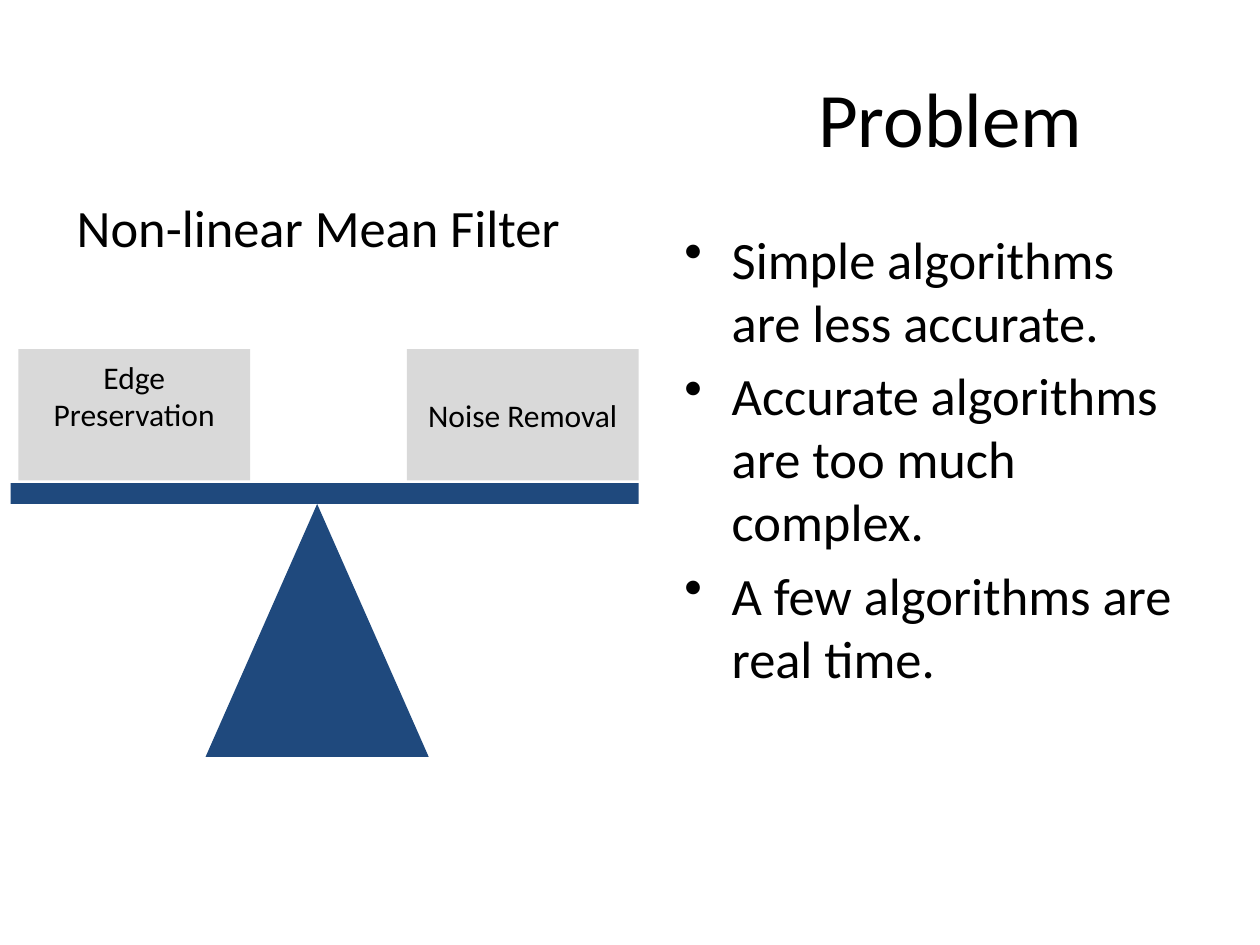
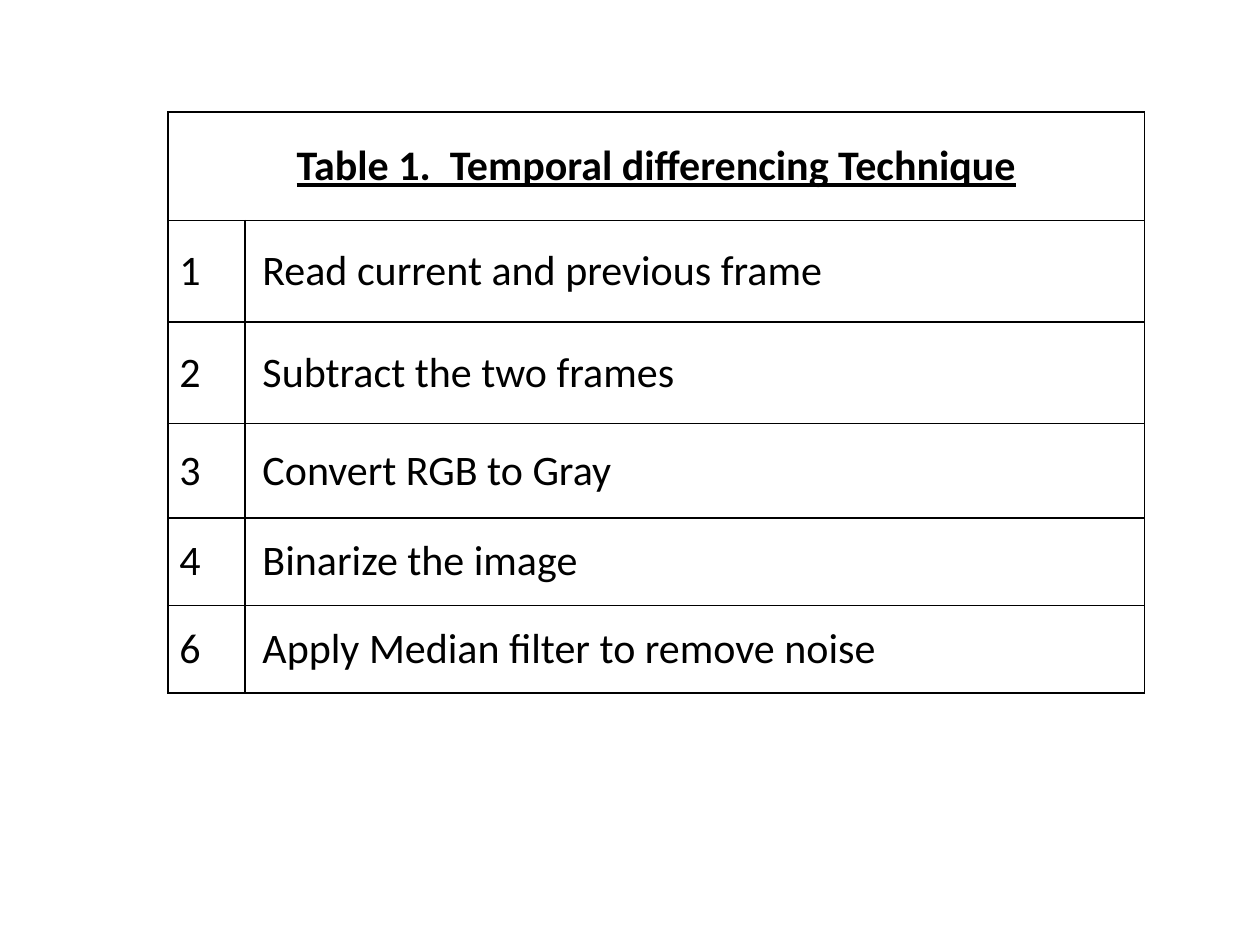
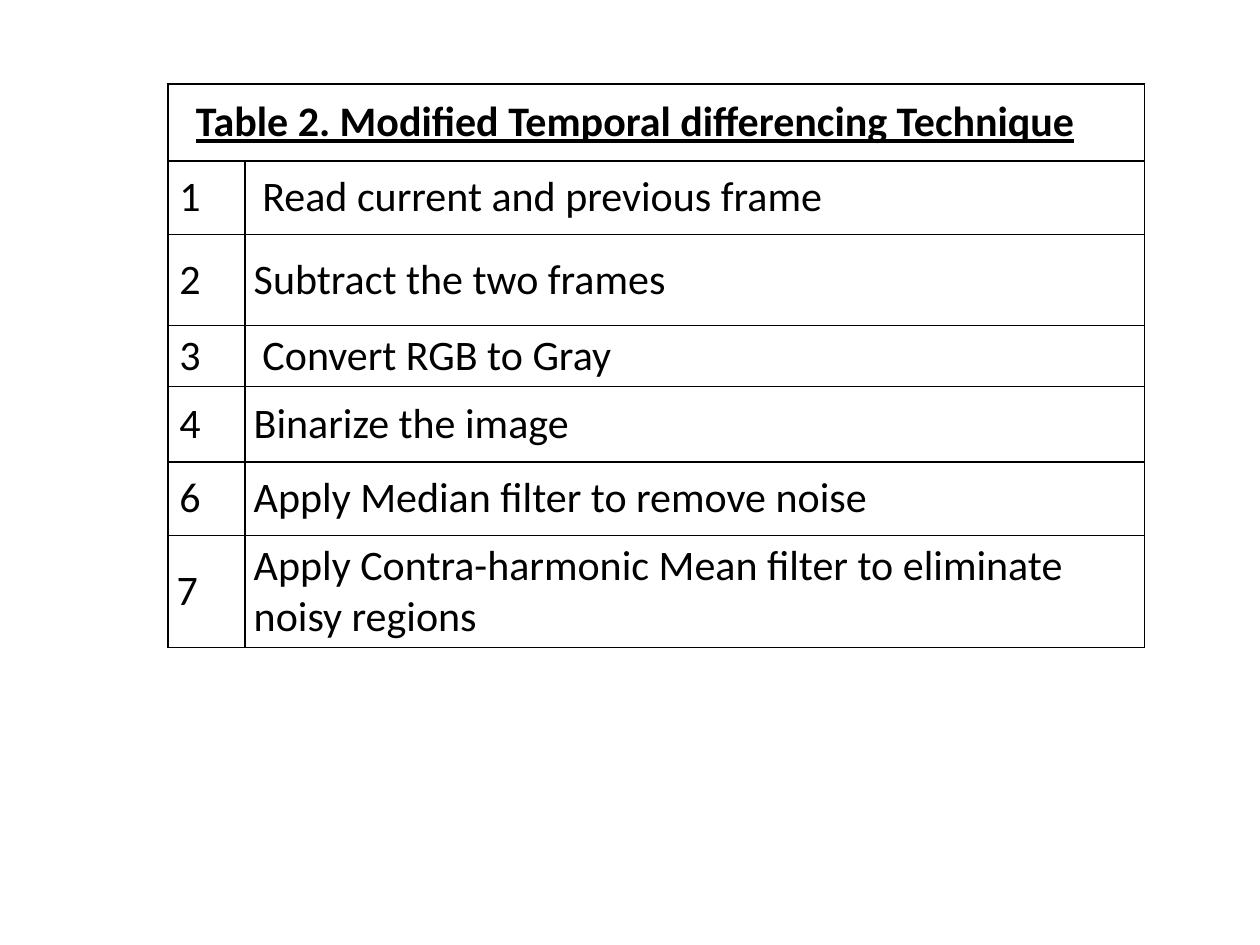
from dataclasses import dataclass

import pptx
import pptx.dml.color
import pptx.enum.shapes
import pptx.enum.text
import pptx.oxml
import pptx.oxml.ns
import pptx.util

Pt = pptx.util.Pt
RGBColor = pptx.dml.color.RGBColor
Align = pptx.enum.text.PP_ALIGN
Anchor = pptx.enum.text.MSO_ANCHOR
Preset = pptx.enum.shapes.MSO_SHAPE

BLACK = RGBColor(0x00, 0x00, 0x00)
NAVY = RGBColor(0x1F, 0x49, 0x7D)
LIGHT_GREY = RGBColor(0xD9, 0xD9, 0xD9)

FONT = "Calibri"
TITLE_SIZE, BODY_SIZE, TABLE_SIZE, LABEL_SIZE = 44, 30, 24, 18
BULLET_INDENT = 27

TABLE_LEFT = 96
COLUMN_WIDTHS = (44, 514)
CELL_MARGIN_X, CELL_MARGIN_Y = 5, 3
NUMBER_MARGIN_RIGHT = 24
STEP_INDENT = 5
THIN, THICK = 0.75, 1
THIN_LINE_COUNT = 4


@dataclass(frozen=True)
class Area:
    left: float
    top: float
    width: float
    height: float

    def lengths(self) -> tuple:
        return Pt(self.left), Pt(self.top), Pt(self.width), Pt(self.height)


@dataclass(frozen=True)
class Step:
    number: str
    text: str
    height: float
    indent: float = 0
    number_align: Align = Align.CENTER


@dataclass(frozen=True)
class StepTable:
    title: str
    top: float
    title_height: float
    steps: tuple[Step, ...]
    title_align: Align = Align.CENTER
    title_indent: float = 0


TEMPORAL = StepTable(
    "Table 1.  Temporal differencing Technique", 64, 62,
    (
        Step("1", "Read current and previous frame", 58, STEP_INDENT),
        Step("2", "Subtract the two frames", 58, STEP_INDENT),
        Step("3", "Convert RGB to Gray", 54, STEP_INDENT),
        Step("4", "Binarize the image", 50, STEP_INDENT),
        Step("6", "Apply Median filter to remove noise", 50, STEP_INDENT),
    ),
)
MODIFIED = StepTable(
    "Table 2. Modified Temporal differencing Technique", 48, 44,
    (
        Step("1", "Read current and previous frame", 42, STEP_INDENT),
        Step("2", "Subtract the two frames", 52),
        Step("3", "Convert RGB to Gray", 35, STEP_INDENT),
        Step("4", "Binarize the image", 43),
        Step("6", "Apply Median filter to remove noise", 42),
        Step("7", "Apply Contra-harmonic Mean filter to eliminate noisy regions",
             64, number_align=Align.LEFT),
    ),
    title_align=Align.LEFT,
    title_indent=11,
)


def write(frame, *lines: str, size: float, align: Align = Align.LEFT, bold: bool = False,
          underline: bool = False, indent: float = 0, bullet: bool = False) -> None:
    """Fill a text frame with one paragraph per line."""
    frame.word_wrap = True
    for index, line in enumerate(lines):
        para = frame.add_paragraph() if index else frame.paragraphs[0]
        para.alignment = align
        span = para.add_run()
        span.text = line
        font = span.font
        font.name, font.size, font.bold, font.underline = FONT, Pt(size), bold, underline
        font.color.rgb = BLACK
        properties = para._p.get_or_add_pPr()
        if indent:
            properties.set("marL", str(Pt(indent)))
        if bullet:
            para.space_before = Pt(size * 0.2)
            properties.set("indent", str(-Pt(indent)))
            mark = pptx.oxml.parse_xml(
                f'<a:buChar {pptx.oxml.ns.nsdecls("a")} char="•"/>')
            properties.append(mark)


def add_text(page, area: Area, *lines: str, anchor: Anchor = Anchor.MIDDLE, **style) -> None:
    frame = page.shapes.add_textbox(*area.lengths()).text_frame
    frame.vertical_anchor = anchor
    write(frame, *lines, **style)


def add_block(page, preset: Preset, area: Area, fill: RGBColor):
    block = page.shapes.add_shape(preset, *area.lengths())
    block.shadow.inherit = False
    block.fill.solid()
    block.fill.fore_color.rgb = fill
    block.line.fill.background()
    return block


def add_weight(page, left: float, label: str, lift: float = 0) -> None:
    """Add a weight on the beam, with its label raised by half of lift."""
    weight = add_block(page, Preset.RECTANGLE, Area(left, 199.5, 132.5, 75), LIGHT_GREY)
    frame = weight.text_frame
    frame.vertical_anchor = Anchor.MIDDLE
    frame.margin_bottom = Pt(3.6 + lift)
    write(frame, label, size=LABEL_SIZE, align=Align.CENTER)


def set_borders(cell, side: float, top: float, bottom: float) -> None:
    properties = cell._tc.get_or_add_tcPr()
    widths = {"lnL": side, "lnR": side, "lnT": top, "lnB": bottom}
    for position, (tag, width) in enumerate(widths.items()):
        border = pptx.oxml.parse_xml(
            f'<a:{tag} {pptx.oxml.ns.nsdecls("a")} w="{Pt(width)}">'
            f'<a:solidFill><a:srgbClr val="{BLACK}"/></a:solidFill></a:{tag}>')
        properties.insert(position, border)


def add_step_table(page, content: StepTable) -> None:
    heights = [content.title_height] + [step.height for step in content.steps]
    area = Area(TABLE_LEFT, content.top, sum(COLUMN_WIDTHS), sum(heights))
    table = page.shapes.add_table(len(heights), 2, *area.lengths()).table
    table.first_row = table.horz_banding = False
    for column, width in zip(table.columns, COLUMN_WIDTHS):
        column.width = Pt(width)

    for index, height in enumerate(heights):
        row = table.rows[index]
        row.height = Pt(height)
        top, bottom = (THIN if line < THIN_LINE_COUNT else THICK
                       for line in (index, index + 1))
        for cell in row.cells:
            cell.vertical_anchor = Anchor.MIDDLE
            cell.margin_left = cell.margin_right = Pt(CELL_MARGIN_X)
            cell.margin_top = cell.margin_bottom = Pt(CELL_MARGIN_Y)
            cell.fill.background()
            set_borders(cell, THICK if index else THIN, top, bottom)

    title = table.cell(0, 0)
    title.merge(table.cell(0, 1))
    write(title.text_frame, content.title, size=TABLE_SIZE, bold=True, underline=True,
          align=content.title_align, indent=content.title_indent)
    for index, step in enumerate(content.steps, start=1):
        number, action = table.rows[index].cells
        number.margin_right = Pt(NUMBER_MARGIN_RIGHT)
        write(number.text_frame, step.number, size=TABLE_SIZE, align=step.number_align)
        write(action.text_frame, step.text, size=TABLE_SIZE, indent=step.indent)


def add_problem(page) -> None:
    add_block(page, Preset.ISOSCELES_TRIANGLE, Area(117.5, 288, 127.5, 144.5), NAVY)
    add_text(page, Area(35, 84.5, 294, 90), "Non-linear Mean Filter",
             size=BODY_SIZE, align=Align.CENTER)
    add_block(page, Preset.RECTANGLE, Area(6, 276, 359, 12), NAVY)
    add_weight(page, 10.5, "Edge Preservation", lift=22)
    add_weight(page, 232.5, "Noise Removal")
    add_text(page, Area(384, 126, 300, 318),
             "Simple algorithms are less accurate.",
             "Accurate algorithms are too much complex.",
             "A few algorithms are real time.",
             anchor=Anchor.TOP, size=BODY_SIZE, indent=BULLET_INDENT, bullet=True)
    add_text(page, Area(402, 21.5, 282, 90), "Problem", size=TITLE_SIZE, align=Align.CENTER)


def main() -> None:
    deck = pptx.Presentation()
    deck.slide_width, deck.slide_height = Pt(720), Pt(540)
    blank = deck.slide_layouts[6]
    add_problem(deck.slides.add_slide(blank))
    for content in (TEMPORAL, MODIFIED):
        add_step_table(deck.slides.add_slide(blank), content)
    deck.save("out.pptx")


if __name__ == "__main__":
    main()
